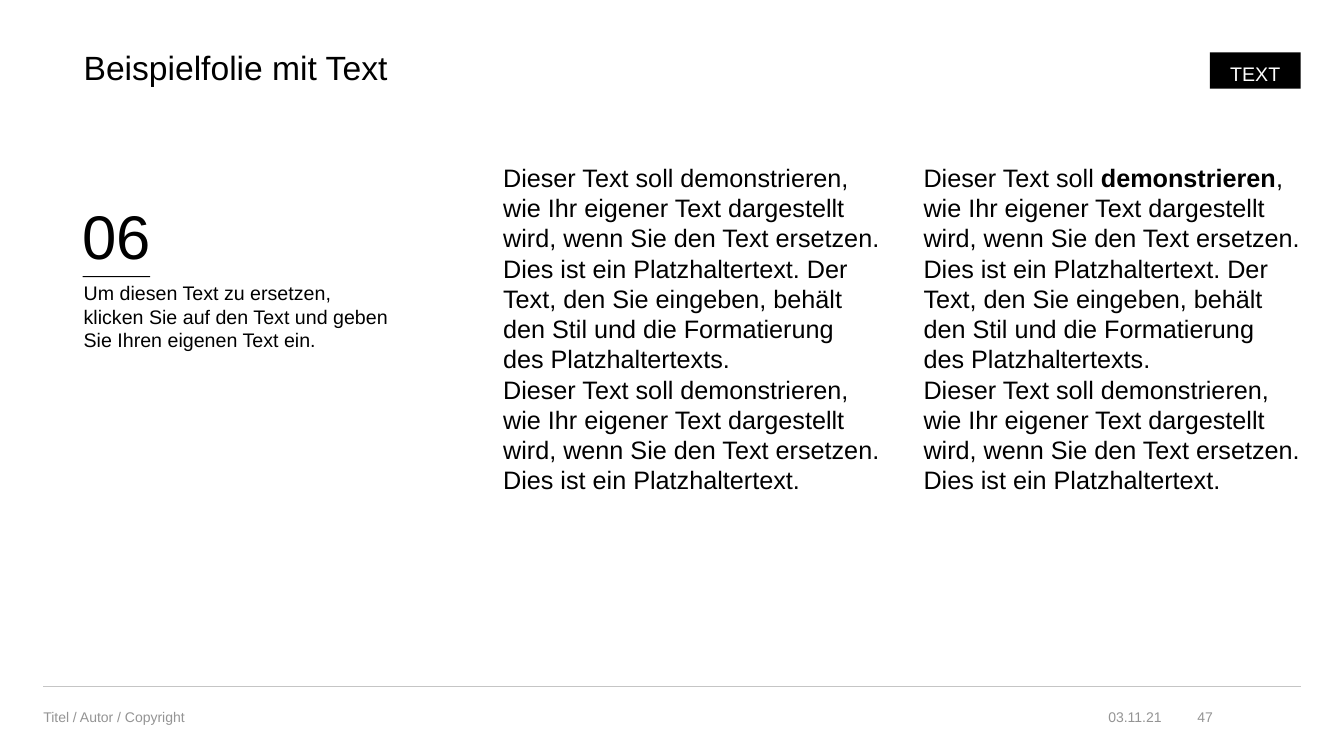
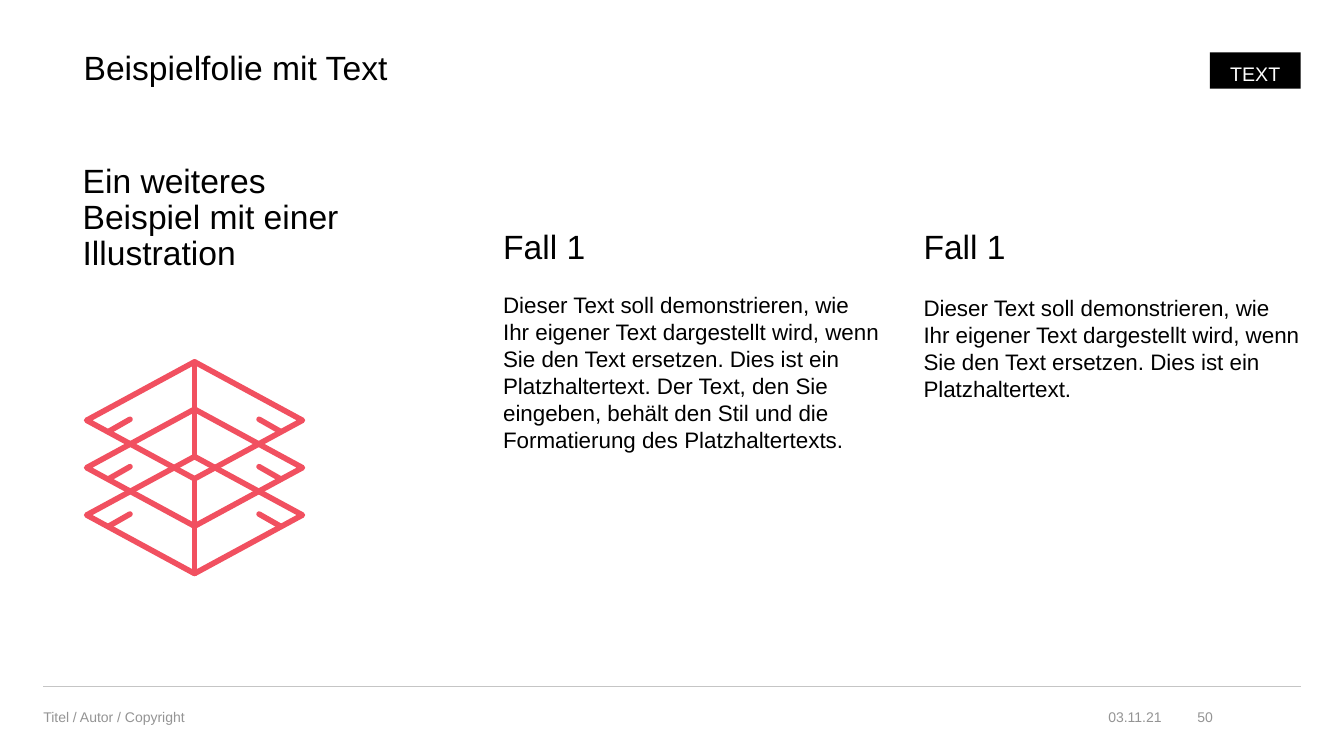
"""Builds two sample text slides that share title, badge and footer."""
import copy

import pptx
import pptx.dml.color
import pptx.enum.shapes
import pptx.enum.text
import pptx.oxml
import pptx.oxml.ns
import pptx.util

PX = 9144
BLACK = pptx.dml.color.RGBColor(0x00, 0x00, 0x00)
WHITE = pptx.dml.color.RGBColor(0xFF, 0xFF, 0xFF)
FOOTER_GREY = pptx.dml.color.RGBColor(0x94, 0x94, 0x94)
RULE_GREY = pptx.dml.color.RGBColor(0xC5, 0xC5, 0xC5)
CORAL = pptx.dml.color.RGBColor(0xF1, 0x50, 0x60)
FONT = "Arial"
LEFT_COLUMN, MIDDLE_COLUMN, RIGHT_COLUMN = 83, 499, 916
COLUMN_WIDTH = 374
PAGE_LEFT, PAGE_RIGHT = 43, 1290
HEADING_SPACING = 0.9

ALIGN = pptx.enum.text.PP_ALIGN
ANCHOR = pptx.enum.text.MSO_ANCHOR
RECTANGLE = pptx.enum.shapes.MSO_SHAPE.RECTANGLE

SHORT_TEXT = (
    "Dieser Text soll demonstrieren, wie Ihr eigener Text dargestellt wird, "
    "wenn Sie den Text ersetzen. Dies ist ein Platzhaltertext."
)
LONG_TEXT = SHORT_TEXT + (
    " Der Text, den Sie eingeben, behält den Stil und die Formatierung "
    "des Platzhaltertexts."
)


def px(*lengths):
    """Turn pixel lengths into a list of EMU lengths."""
    return [pptx.util.Emu(length * PX) for length in lengths]


def write(frame, text, size=18, color=BLACK, align=ALIGN.LEFT, anchor=ANCHOR.TOP,
          spacing=None, after=None, bold_word=None, insets=(0, 0, 0, 0), wrap=True):
    """Fill a text frame; bold_word is set bold where it first appears."""
    frame.word_wrap = wrap
    frame.vertical_anchor = anchor
    (frame.margin_left, frame.margin_top,
     frame.margin_right, frame.margin_bottom) = px(*insets)
    lines = [text] if isinstance(text, str) else text
    for index, line in enumerate(lines):
        paragraph = frame.add_paragraph() if index else frame.paragraphs[0]
        paragraph.alignment = align
        paragraph.line_spacing = spacing
        paragraph.space_after = after
        if bold_word and not index:
            before, word, rest = line.partition(bold_word)
            for part in (before, word, rest):
                run = paragraph.add_run()
                run.text = part
                run.font.bold = part == word
        else:
            paragraph.text = line.replace("\n", "\v")
        for run in paragraph.runs:
            run.font.name = FONT
            run.font.size = pptx.util.Pt(size)
            run.font.color.rgb = color
        for line_break in paragraph._p.findall(pptx.oxml.ns.qn("a:br")):
            line_break.append(copy.deepcopy(paragraph.runs[0]._r.rPr))


def add_text(slide, box, text, **text_format):
    """Add a text box at (left, top, width, height)."""
    write(slide.shapes.add_textbox(*px(*box)).text_frame, text, **text_format)


def add_block(slide, box):
    """Add a plain black rectangle and return it."""
    block = slide.shapes.add_shape(RECTANGLE, *px(*box))
    block.shadow.inherit = False
    block.fill.solid()
    block.fill.fore_color.rgb = BLACK
    block.line.fill.background()
    return block


def add_rule(slide, left, right, y):
    """Add the thin grey line above the footer."""
    rule = slide.shapes.add_connector(
        pptx.enum.shapes.MSO_CONNECTOR.STRAIGHT, *px(left, y, right, y))
    rule.line.color.rgb = RULE_GREY
    rule.line.width = pptx.util.Pt(0.5)
    rule._element.spPr.append(pptx.oxml.parse_xml(
        f"<a:effectLst {pptx.oxml.ns.nsdecls('a')}/>"))


def add_heading(slide, left, top, height, text, size=24):
    """Add a heading that stands on the bottom edge of its box."""
    add_text(slide, (left, top, COLUMN_WIDTH, height), text, size=size,
             anchor=ANCHOR.BOTTOM, spacing=HEADING_SPACING)


def add_page(deck, number):
    """Add a slide with the shared title, badge and footer."""
    slide = deck.slides.add_slide(deck.slide_layouts[6])
    add_rule(slide, PAGE_LEFT, PAGE_RIGHT, 681)
    add_text(slide, (LEFT_COLUMN, 51, PAGE_RIGHT - LEFT_COLUMN, 36),
             "Beispielfolie mit Text", size=24, spacing=HEADING_SPACING)
    badge = add_block(slide, (1200, 52, 90, 36))
    write(badge.text_frame, "TEXT", size=14, color=WHITE, align=ALIGN.RIGHT,
          spacing=1.2, after=pptx.util.Pt(10), insets=(20, 5, 20, 5), wrap=False)
    for left, width, text, align in (
        (PAGE_LEFT, 607, "Titel / Autor / Copyright", ALIGN.LEFT),
        (1077, 75, "03.11.21", ALIGN.RIGHT),
        (1172, 31, str(number), ALIGN.RIGHT),
    ):
        add_text(slide, (left, 692, width, 39), text, size=10,
                 color=FOOTER_GREY, align=align, anchor=ANCHOR.MIDDLE)
    return slide


def add_layer_stack(slide, center, top):
    """Draw three stacked see-through layers as one outlined icon."""
    half_width, half_height, step = 107, 58, 47
    middles = [top + half_height + step * layer for layer in range(3)]
    strokes = [
        [(center, top), (center, middles[2] - half_height)],
        [(center, middles[0] + half_height), (center, middles[2] + half_height)],
    ]
    for middle in middles:
        diamond = [(center, middle - half_height), (center + half_width, middle),
                   (center, middle + half_height), (center - half_width, middle)]
        strokes.append(diamond + diamond[:1])
        for side in (-1, 1):
            strokes.append([(center + side * 64, middle - 1),
                            (center + side * 85, middle + 11)])
    builder = slide.shapes.build_freeform(*strokes[0][0], scale=PX)
    for index, (start, *points) in enumerate(strokes):
        if index:
            builder.move_to(*start)
        builder.add_line_segments(points, close=points[-1] == start)
    stack = builder.convert_to_shape()
    stack.shadow.inherit = False
    stack.fill.background()
    stack.line.color.rgb = CORAL
    stack.line.width = pptx.util.Pt(4)
    outline = stack.line._get_or_add_ln()
    outline.set("cap", "rnd")
    outline.append(pptx.oxml.parse_xml(f"<a:round {pptx.oxml.ns.nsdecls('a')}/>"))


def build_text_slide(deck):
    """Build the slide with a numbered note and two text columns."""
    slide = add_page(deck, 47)
    add_heading(slide, LEFT_COLUMN - 1, 165, 106, "06", size=44)
    add_block(slide, (LEFT_COLUMN - 1, 274, 67, 1))
    add_text(slide, (LEFT_COLUMN, 279, COLUMN_WIDTH, 339),
             "Um diesen Text zu ersetzen,\nklicken Sie auf den Text und geben\n"
             "Sie Ihren eigenen Text ein.", size=14)
    for left, bold_word in ((MIDDLE_COLUMN, None), (RIGHT_COLUMN, "demonstrieren")):
        add_text(slide, (left, 161, COLUMN_WIDTH, 457), [LONG_TEXT, SHORT_TEXT],
                 bold_word=bold_word)


def build_illustration_slide(deck):
    """Build the slide with the layer icon and two cases."""
    slide = add_page(deck, 50)
    add_heading(slide, LEFT_COLUMN - 1, 165, 106,
                "Ein weiteres\nBeispiel mit einer\nIllustration")
    add_layer_stack(slide, center=193, top=359)
    for left, top, text in ((MIDDLE_COLUMN, 289, LONG_TEXT),
                            (RIGHT_COLUMN, 292, SHORT_TEXT)):
        add_heading(slide, left, 161, 104, "Fall 1")
        add_text(slide, (left, top, COLUMN_WIDTH, 618 - top), text, size=16)


def main():
    """Create the deck and save it."""
    deck = pptx.Presentation()
    deck.slide_width, deck.slide_height = px(1333, 750)
    build_text_slide(deck)
    build_illustration_slide(deck)
    deck.save("out.pptx")


if __name__ == "__main__":
    main()
